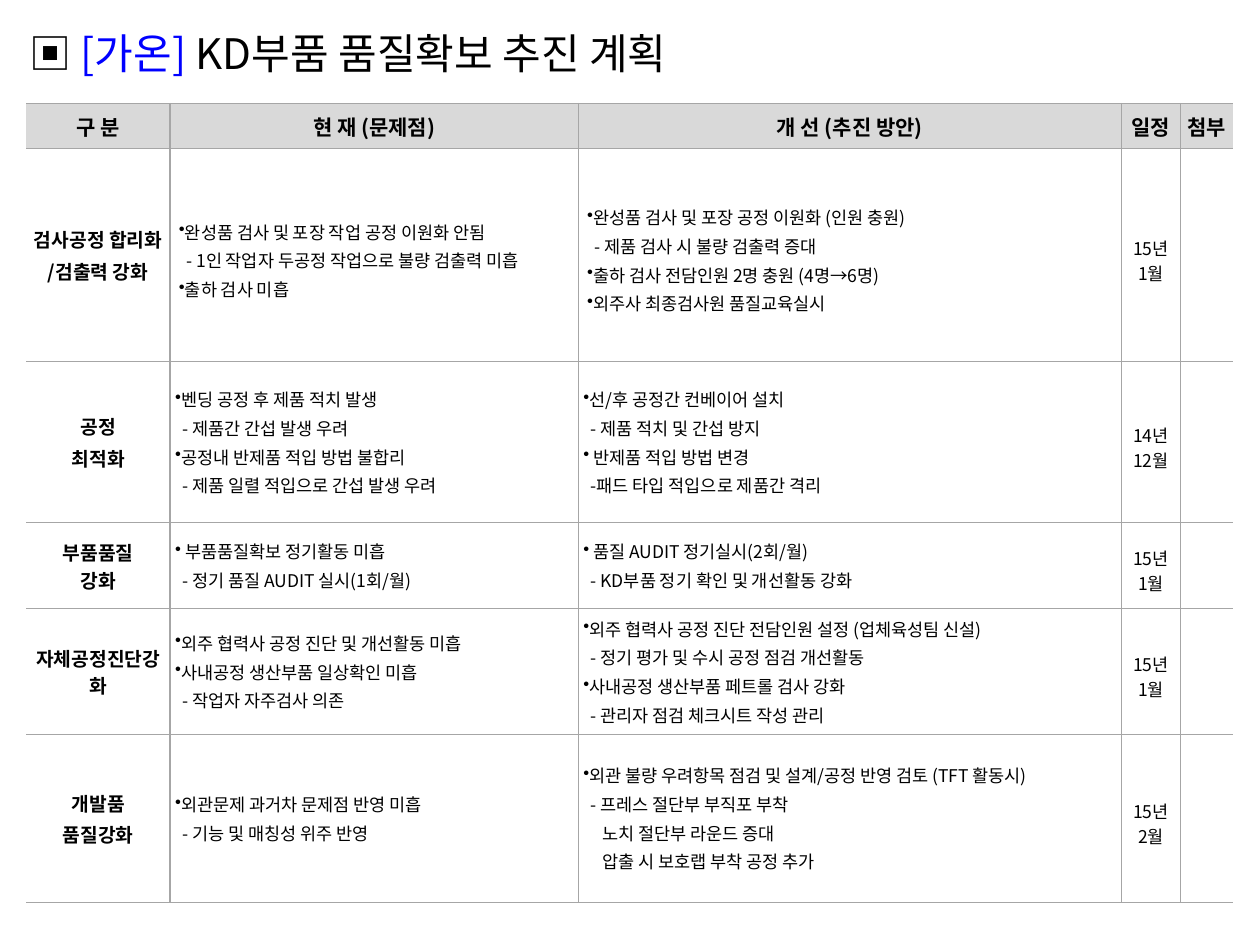
import pptx
import pptx.util
import pptx.dml.color
import pptx.enum.text
import pptx.oxml
import pptx.oxml.ns
from lxml import etree

Inches, Pt = pptx.util.Inches, pptx.util.Pt
RGBColor = pptx.dml.color.RGBColor
CENTER = pptx.enum.text.PP_ALIGN.CENTER
MIDDLE = pptx.enum.text.MSO_ANCHOR.MIDDLE

FONT = "Noto Sans CJK KR"
BLACK = RGBColor(0x00, 0x00, 0x00)
BLUE = RGBColor(0x00, 0x00, 0xFF)
HEADER_GRAY = RGBColor(0xD9, 0xD9, 0xD9)
BORDER_GRAY = RGBColor(0xA6, 0xA6, 0xA6)

TITLE = [(" ▣ ", BLACK), ("[가온] ", BLUE), ("KD부품 품질확보 추진 계획", BLACK)]
HEADERS = ["구 분", "현 재 (문제점)", "개 선 (추진 방안)", "일정", "첨부"]

# Label, problems, improvements, date.
# "•" starts a bullet, "-" a sub-item, ">" the continuation of a sub-item.
PLAN = [
    (["검사공정 합리화", "/검출력 강화"],
     ["•완성품 검사 및 포장 작업 공정 이원화 안됨",
      "- 1인 작업자 두공정 작업으로 불량 검출력 미흡",
      "•출하 검사 미흡"],
     ["•완성품 검사 및 포장 공정 이원화 (인원 충원)",
      "- 제품 검사 시 불량 검출력 증대",
      "•출하 검사 전담인원 2명 충원 (4명→6명)",
      "•외주사 최종검사원 품질교육실시"],
     ["15년", "1월"]),
    (["공정", "최적화"],
     ["•벤딩 공정 후 제품 적치 발생",
      "- 제품간 간섭 발생 우려",
      "•공정내 반제품 적입 방법 불합리",
      "- 제품 일렬 적입으로 간섭 발생 우려"],
     ["•선/후 공정간 컨베이어 설치",
      "- 제품 적치 및 간섭 방지",
      "• 반제품 적입 방법 변경",
      "-패드 타입 적입으로 제품간 격리"],
     ["14년", "12월"]),
    (["부품품질", "강화"],
     ["• 부품품질확보 정기활동 미흡",
      "- 정기 품질 AUDIT 실시(1회/월)"],
     ["• 품질 AUDIT 정기실시(2회/월)",
      "- KD부품 정기 확인 및 개선활동 강화"],
     ["15년", "1월"]),
    (["자체공정진단강화"],
     ["•외주 협력사 공정 진단 및 개선활동 미흡",
      "•사내공정 생산부품 일상확인 미흡",
      "- 작업자 자주검사 의존"],
     ["•외주 협력사 공정 진단 전담인원 설정 (업체육성팀 신설)",
      "- 정기 평가 및 수시 공정 점검 개선활동",
      "•사내공정 생산부품 페트롤 검사 강화",
      "- 관리자 점검 체크시트 작성 관리"],
     ["15년", "1월"]),
    (["개발품", "품질강화"],
     ["•외관문제 과거차 문제점 반영 미흡",
      "- 기능 및 매칭성 위주 반영"],
     ["•외관 불량 우려항목 점검 및 설계/공정 반영 검토 (TFT 활동시)",
      "- 프레스 절단부 부직포 부착",
      ">노치 절단부 라운드 증대",
      ">압출 시 보호랩 부착 공정 추가"],
     ["15년", "2월"]),
]

COLUMN_WIDTHS = [1.14, 3.24, 4.31, 0.47, 0.42]
ROW_HEIGHTS = [0.36, 1.69, 1.28, 0.68, 1, 1.33]

# Cell insets: left, top, right, bottom
NARROW = (0, 0.02, 0, 0.02)
EVEN = (0.04, 0.04, 0.04, 0.04)
LOWERED = (0, 0.08, 0, 0)
FIRST_BODY = (0.07, 0.08, 0, 0)
LABEL_INSETS = [NARROW, NARROW, EVEN, EVEN, EVEN]
BODY_INSETS = [FIRST_BODY, EVEN, EVEN, EVEN, EVEN]
LABEL_GAPS = [2, 2, 0, 2, 2]
INDENTS = {"•": 0, "-": 0.06, ">": 0.15}


def set_font(paragraph, size, bold=False):
    font = paragraph.font
    font.size, font.bold, font.name = Pt(size), bold, FONT
    font.color.rgb = BLACK
    latin = paragraph._p.pPr.defRPr.find(pptx.oxml.ns.qn("a:latin"))
    east_asian = etree.Element(pptx.oxml.ns.qn("a:ea"), typeface=FONT)
    latin.addnext(east_asian)


def set_indent(paragraph, left, first=0):
    properties = paragraph._p.get_or_add_pPr()
    properties.set("marL", str(Inches(left)))
    properties.set("indent", str(Inches(first)))


def add_bullet(paragraph):
    bullet = etree.Element(pptx.oxml.ns.qn("a:buChar"), char="•")
    paragraph._p.pPr.defRPr.addprevious(bullet)


def write_cell(cell, lines, insets, size, bold=False, gap=0, outline=False):
    """Fill a cell with centred lines, or with left-aligned outline items."""
    cell.vertical_anchor = MIDDLE
    (cell.margin_left, cell.margin_top,
     cell.margin_right, cell.margin_bottom) = map(Inches, insets)
    frame = cell.text_frame
    for index, line in enumerate(lines):
        paragraph = frame.add_paragraph() if index else frame.paragraphs[0]
        paragraph.space_after = Pt(gap)
        set_font(paragraph, size, bold)
        if outline:
            set_indent(paragraph, INDENTS[line[0]])
            if line[0] == "•":
                add_bullet(paragraph)
            paragraph.text = line if line[0] == "-" else line[1:]
        else:
            paragraph.alignment = CENTER
            paragraph.text = line


def draw_borders(cell, visible):
    properties = cell._tc.get_or_add_tcPr()
    for side in "LRTB":
        fill = (f'<a:solidFill><a:srgbClr val="{BORDER_GRAY}"/></a:solidFill>'
                if side in visible else "<a:noFill/>")
        properties.append(pptx.oxml.parse_xml(
            f'<a:ln{side} {pptx.oxml.ns.nsdecls("a")} w="{Pt(0.75)}">'
            f'{fill}</a:ln{side}>'))


def add_title(slide):
    box = slide.shapes.add_textbox(
        Inches(0.06), Inches(0.13), Inches(7.35), Inches(0.55))
    frame = box.text_frame
    frame.word_wrap = True
    frame.auto_size = pptx.enum.text.MSO_AUTO_SIZE.SHAPE_TO_FIT_TEXT
    paragraph = frame.paragraphs[0]
    paragraph.line_spacing = 1.1
    set_indent(paragraph, 0.38, -0.38)
    set_font(paragraph, 24)
    for text, color in TITLE:
        run = paragraph.add_run()
        run.text = text
        run.font.color.rgb = color


def add_plan(slide):
    table = slide.shapes.add_table(
        len(ROW_HEIGHTS), len(COLUMN_WIDTHS), Inches(0.21), Inches(0.82),
        Inches(sum(COLUMN_WIDTHS)), Inches(sum(ROW_HEIGHTS))).table
    for column, width in zip(table.columns, COLUMN_WIDTHS):
        column.width = Inches(width)
    for row, height in zip(table.rows, ROW_HEIGHTS):
        row.height = Inches(height)

    last = len(COLUMN_WIDTHS) - 1
    for r, row in enumerate(table.rows):
        for c, cell in enumerate(row.cells):
            draw_borders(cell, "TB" + "L" * (c > 0) + "R" * (c < last))
            if r == 0:
                cell.fill.solid()
                cell.fill.fore_color.rgb = HEADER_GRAY
                write_cell(cell, [HEADERS[c]], NARROW, 12, bold=True)
            else:
                cell.fill.background()

    for r, (label, problems, improvements, date) in enumerate(PLAN):
        cells = table.rows[r + 1].cells
        write_cell(cells[0], label, LABEL_INSETS[r], 11, True, LABEL_GAPS[r])
        for c, items in ((1, problems), (2, improvements)):
            write_cell(cells[c], items, BODY_INSETS[r], 10, gap=2, outline=True)
        write_cell(cells[3], date, LOWERED, 10)


def main():
    presentation = pptx.Presentation()
    presentation.slide_width, presentation.slide_height = Inches(10), Inches(7.5)
    slide = presentation.slides.add_slide(presentation.slide_layouts[6])
    add_title(slide)
    add_plan(slide)
    presentation.save("out.pptx")


if __name__ == "__main__":
    main()
